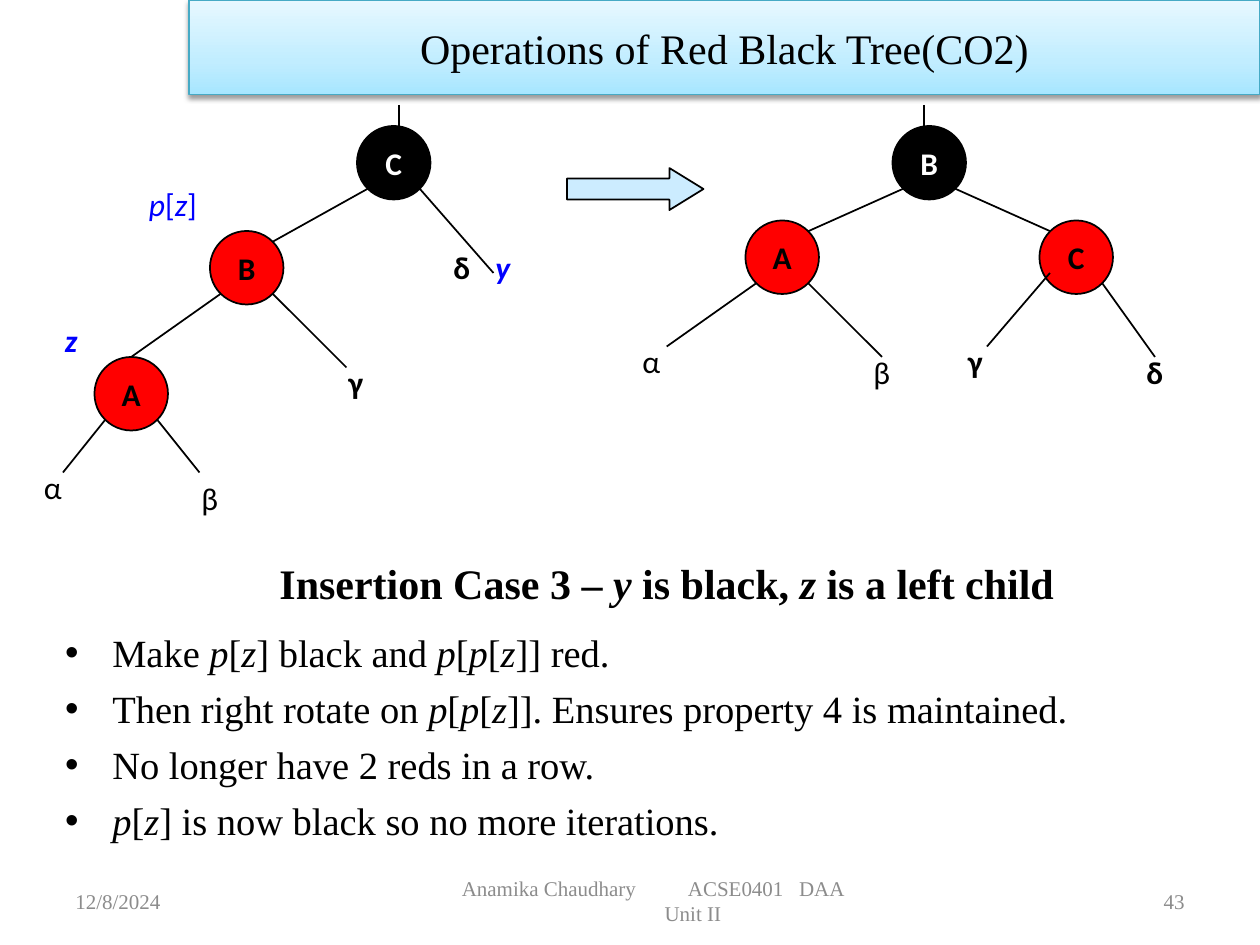
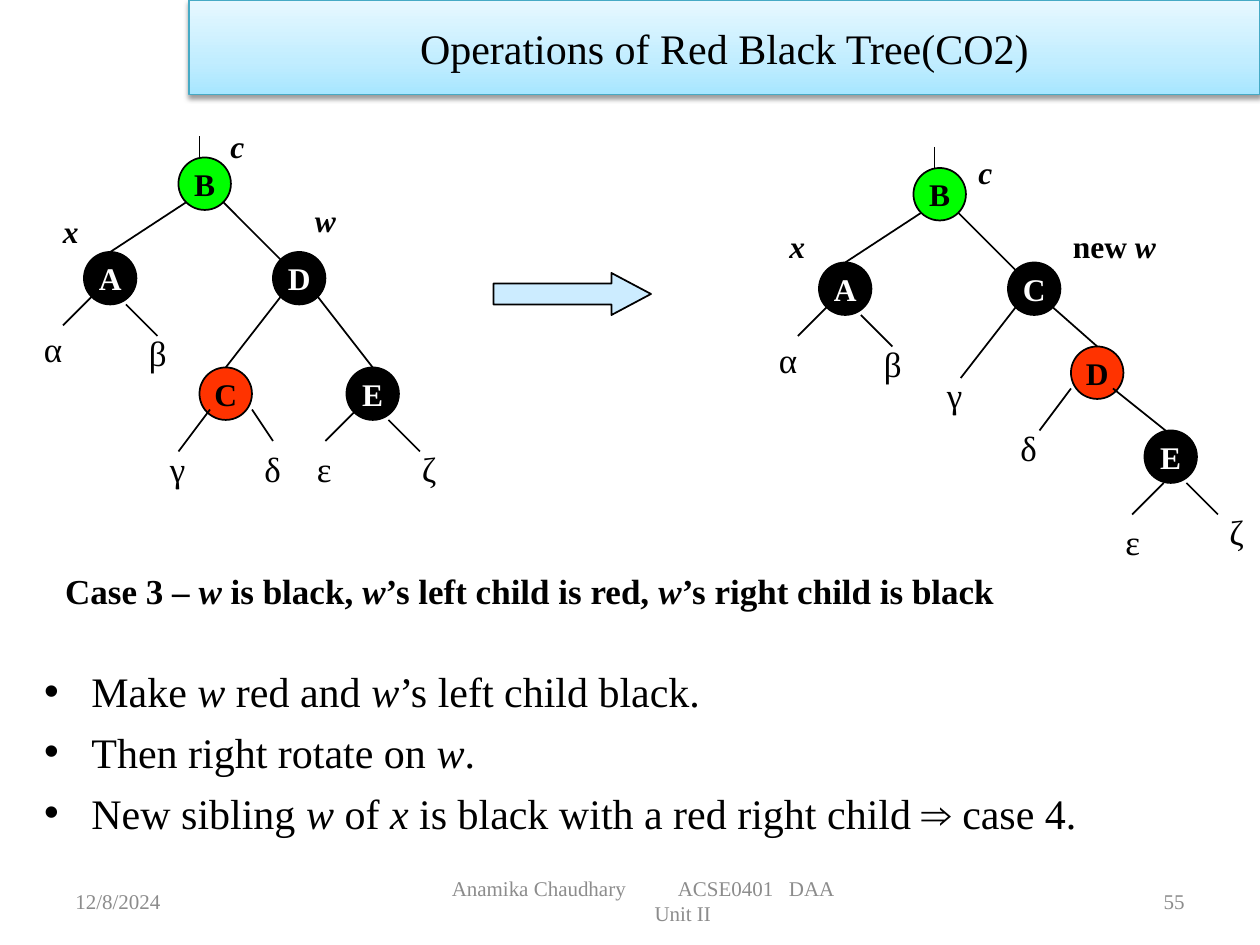
from copy import deepcopy

from lxml import etree
from pptx import Presentation
from pptx.dml.color import RGBColor
from pptx.enum.shapes import MSO_CONNECTOR, MSO_SHAPE
from pptx.enum.text import MSO_ANCHOR, MSO_AUTO_SIZE, PP_ALIGN
from pptx.oxml.ns import qn
from pptx.util import Pt

BLACK = RGBColor(0x00, 0x00, 0x00)
WHITE = RGBColor(0xFF, 0xFF, 0xFF)
RED = RGBColor(0xFF, 0x00, 0x00)
ORANGE_RED = RGBColor(0xFF, 0x33, 0x00)
GREEN = RGBColor(0x00, 0xFF, 0x00)
BLUE = RGBColor(0x00, 0x00, 0xFF)
PALE_BLUE = RGBColor(0xCC, 0xEC, 0xFF)
GREY = RGBColor(0x8C, 0x8C, 0x8C)
BANNER_LINE = RGBColor(0x46, 0xAA, 0xC5)
BANNER_STOPS = [
    (0, RGBColor(0xA7, 0xE6, 0xFF)),
    (0.35, RGBColor(0xC1, 0xED, 0xFF)),
    (1, RGBColor(0xE7, 0xF8, 0xFF)),
]

SERIF = "Times New Roman"
SANS = "Calibri"
LEFT, CENTER, RIGHT, JUSTIFY = PP_ALIGN.LEFT, PP_ALIGN.CENTER, PP_ALIGN.RIGHT, PP_ALIGN.JUSTIFY
TOP, MIDDLE = MSO_ANCHOR.TOP, MSO_ANCHOR.MIDDLE
NO_AUTOFIT = MSO_AUTO_SIZE.NONE
STRAIGHT = MSO_CONNECTOR.STRAIGHT
OVAL, ARROW, RECTANGLE = MSO_SHAPE.OVAL, MSO_SHAPE.RIGHT_ARROW, MSO_SHAPE.RECTANGLE

# Points on a node's circle, as fractions of its box
NEAR, FAR = 0.146, 0.854
PORTS = {
    "top": (0.5, 0),
    "upper-left": (NEAR, NEAR),
    "upper-right": (FAR, NEAR),
    "lower-left": (NEAR, FAR),
    "lower-right": (FAR, FAR),
}
FOOTER_WIDTH = 264
FOOTER_TABS = (129.2, 192.7)


def box(left, top, width, height):
    return Pt(left), Pt(top), Pt(width), Pt(height)


class TreeDeck:
    def __init__(self):
        self.presentation = Presentation()
        self.presentation.slide_width = Pt(720)
        self.presentation.slide_height = Pt(540)

    def start_slide(self, diagram_font, node_size):
        layout = self.presentation.slide_layouts[1]
        self.slide = self.presentation.slides.add_slide(layout)
        self.shapes = self.slide.shapes
        self.diagram_font = diagram_font
        self.node_size = node_size

    def add_runs(self, paragraph, text, **changes):
        """Add text as runs; parts between asterisks are italic."""
        formats = {"name": SERIF, "size": 18, "color": BLACK, "bold": False, **changes}
        formats["size"] = Pt(formats["size"])
        color = formats.pop("color")
        for index, part in enumerate(text.split("*")):
            if part:
                run = paragraph.add_run()
                run.text = part
                for name, value in {**formats, "italic": index % 2 == 1}.items():
                    setattr(run.font, name, value)
                run.font.color.rgb = color

    def frame(self, shape, anchor=TOP, **changes):
        text_frame = shape.text_frame
        settings = {"word_wrap": True, "auto_size": NO_AUTOFIT, "vertical_anchor": anchor}
        for name, value in {**settings, **changes}.items():
            setattr(text_frame, name, value)
        return text_frame

    def place(self, shape, bounds):
        shape.left, shape.top, shape.width, shape.height = box(*bounds)

    def title(self, text, bounds, size, alignment, indent=0):
        shape = self.shapes.title
        self.place(shape, bounds)
        paragraph = self.frame(shape, MIDDLE, margin_left=Pt(7.2 + indent)).paragraphs[0]
        paragraph.alignment = alignment
        self.add_runs(paragraph, text, size=size, bold=True)

    def bullets(self, items, bounds, size):
        shape = self.slide.placeholders[1]
        self.place(shape, bounds)
        text_frame = self.frame(shape)
        for index, item in enumerate(items):
            paragraph = text_frame.add_paragraph() if index else text_frame.paragraphs[0]
            paragraph.alignment = JUSTIFY
            paragraph.space_before = Pt(size / 4 if index else 0)
            self.add_runs(paragraph, item, size=size)

    def text(self, text, bounds, anchor=TOP, alignment=LEFT, **formats):
        shape = self.shapes.add_textbox(*box(*bounds))
        paragraph = self.frame(shape, anchor).paragraphs[0]
        paragraph.alignment = alignment
        self.add_runs(paragraph, text, **formats)

    def labels(self, entries, height=36, **formats):
        for text, left, top, width in entries:
            self.text(text, (left, top, width, height), name=self.diagram_font, **formats)

    def shape(self, kind, bounds, fill):
        shape = self.shapes.add_shape(kind, *box(*bounds))
        shape.shadow.inherit = False
        shape.fill.solid()
        shape.fill.fore_color.rgb = fill
        shape.line.color.rgb = BLACK
        shape.line.width = Pt(1)
        return shape

    def arrow(self, bounds, head):
        self.shape(ARROW, bounds, PALE_BLUE).adjustments[1] = head

    def node(self, letter, left, top, fill):
        shape = self.shape(OVAL, (left, top, self.node_size, self.node_size), fill)
        margins = dict.fromkeys(("margin_left", "margin_right", "margin_top", "margin_bottom"), 0)
        paragraph = self.frame(shape, MIDDLE, **{**margins, "word_wrap": False}).paragraphs[0]
        paragraph.alignment = CENTER
        color = WHITE if fill == BLACK else BLACK
        self.add_runs(paragraph, letter, name=self.diagram_font, color=color, bold=True)
        return shape

    def tree(self, nodes, edges):
        """Draw nodes, then edges whose ends are points or 'letter port'."""
        circles = {letter: self.node(letter, *place) for letter, place in nodes.items()}

        def point(end):
            if not isinstance(end, str):
                return Pt(end[0]), Pt(end[1])
            letter, port = end.split()
            circle = circles[letter]
            across, down = PORTS[port]
            return (circle.left + round(across * circle.width),
                    circle.top + round(down * circle.height))

        for start, end in edges:
            line = self.shapes.add_connector(STRAIGHT, *point(start), *point(end))
            line.line.color.rgb = BLACK
            line.line.width = Pt(1)
            etree.SubElement(line._element.spPr, qn("a:effectLst"))
            if isinstance(end, str) and end.endswith(" top"):
                line.end_connect(circles[end.split()[0]], 0)

    def footer(self, number, width):
        small = {"size": 12, "color": GREY}
        self.text("12/8/2024", (36, 500.4, 168, 28.8), MIDDLE, **small)
        self.text(number, (516, 500.4, 168, 28.8), MIDDLE, RIGHT, **small)
        shape = self.shapes.add_textbox(*box(246.2, 500.4, width, 28.8))
        margin = Pt((width - FOOTER_WIDTH) / 2)
        text_frame = self.frame(shape, MIDDLE, margin_left=margin, margin_right=margin)
        course = text_frame.paragraphs[0]
        tabs = etree.SubElement(course._p.get_or_add_pPr(), qn("a:tabLst"))
        for position in FOOTER_TABS:
            etree.SubElement(tabs, qn("a:tab"), pos=str(Pt(position)), algn="l")
        self.add_runs(course, "Anamika Chaudhary\tACSE0401\tDAA", **small)
        unit = text_frame.add_paragraph()
        unit.alignment = CENTER
        self.add_runs(unit, "Unit II", **small)

    def banner(self):
        shape = self.shapes.add_shape(RECTANGLE, *box(108, 0, 612, 54))
        shape.fill.gradient()
        stop_list = next(shape._element.spPr.iter(qn("a:gsLst")))
        stop_list.append(deepcopy(stop_list[-1]))
        for stop, (position, color) in zip(shape.fill.gradient_stops, BANNER_STOPS):
            stop.position = position
            stop.color.rgb = color
        shape.fill.gradient_angle = 90
        shape.line.color.rgb = BANNER_LINE
        shape.line.width = Pt(0.75)
        shape.shadow.inherit = False
        effects = shape._element.spPr.find(qn("a:effectLst"))
        shadow = etree.SubElement(effects, qn("a:outerShdw"), blurRad=str(Pt(3.1)),
                                  dist=str(Pt(1.6)), dir="5400000", rotWithShape="0")
        color = etree.SubElement(shadow, qn("a:srgbClr"), val="000000")
        etree.SubElement(color, qn("a:alpha"), val="38000")
        paragraph = self.frame(shape, MIDDLE).paragraphs[0]
        paragraph.alignment = CENTER
        self.add_runs(paragraph, "Operations of Red Black Tree(CO2)", size=24)


def insertion_slide(deck):
    deck.start_slide(SANS, 42)
    deck.title("Insertion Case 3 – *y *is black, *z* is a left child", (21, 297, 720, 72), 24, CENTER)
    deck.bullets([
        "Make *p*[*z*] black and *p*[*p*[*z*]] red.",
        "Then right rotate on *p*[*p*[*z*]]. Ensures property 4 is maintained.",
        "No longer have 2 reds in a row.",
        "*p*[*z*] is now black so no more iterations.",
    ], (30, 356, 666, 122), 22)
    deck.arrow((324, 96, 78, 24), 0.81)
    deck.tree(
        {"C": (204, 72, BLACK), "B": (120, 132, RED), "A": (54, 204, RED)},
        [((228, 60), (228, 72)),
         ("C lower-left", "B upper-right"), ("C lower-right", (282, 156)),
         ("B lower-left", "A top"), ("B lower-right", (198, 210)),
         ("A lower-left", (36, 270)), ("A lower-right", (114, 270))])
    deck.tree(
        {"B": (510, 72, BLACK), "A": (426, 126, RED), "C": (594, 126, RED)},
        [((528, 60), (528, 72)),
         ("B lower-left", "A upper-right"), ("B lower-right", "C upper-left"),
         ("A lower-left", (381, 198)), ("A lower-right", (504, 204)),
         ((600, 156), (564, 198)), ("C lower-right", (660, 204))])
    deck.labels([("α", 18, 264, 29.5), ("β", 108, 270, 27.4),
                 ("α", 360, 192, 29.5), ("β", 492, 198, 27.4)])
    deck.labels([("γ", 192, 204, 29.5), ("δ", 252, 138, 26.6),
                 ("γ", 546, 192, 30), ("δ", 648, 198, 26.6)], bold=True)
    deck.labels([("*y*", 276, 138, 25.2), ("*z*", 30, 180, 23.8)], color=BLUE, bold=True)
    deck.labels([("*p*[*z*]", 78, 102, 51.8)], color=BLUE)
    deck.footer("43", 299.5)
    deck.banner()


def deletion_slide(deck):
    deck.start_slide(SERIF, 30)
    deck.title("Case 3 – *w* is black, *w*’s left child is red, *w*’s right child is black",
               (0, 312, 720, 51), 20, LEFT, indent=30)
    deck.bullets([
        "Make *w *red and *w*’s left child black.",
        "Then right rotate on *w*.",
        "New sibling *w *of *x *is black with a red right child ⇒ case 4.",
    ], (18, 376.6, 666, 122), 24)
    deck.arrow((282, 156, 90, 24), 0.94)
    deck.tree(
        {"B": (102, 90, GREEN), "A": (48, 144, BLACK), "D": (156, 144, BLACK),
         "C": (114, 210, ORANGE_RED), "E": (198, 210, BLACK)},
        [((114, 78), (114, 90)),
         ("B lower-left", "A top"), ("B lower-right", "D upper-left"),
         ("D lower-left", "C top"), ("D lower-right", "E top"),
         ((54, 168), (36, 186)), ((72, 174), (90, 192)),
         ((120, 234), (102, 258)), ((144, 234), (156, 252)),
         ((204, 234), (186, 252)), ((222, 240), (240, 258))])
    deck.tree(
        {"B": (522, 96, GREEN), "A": (468, 150, BLACK), "C": (576, 150, BLACK),
         "D": (612, 198, ORANGE_RED), "E": (654, 246, BLACK)},
        [((534, 84), (534, 96)),
         ("B lower-left", "A top"), ("B lower-right", "C upper-left"),
         ("C lower-left", (549, 216)), ("C lower-right", "D top"),
         ((474, 174), (456, 192)), ((492, 180), (510, 198)),
         ((612, 222), (594, 246)), ((636, 222), (666, 246)),
         ((665, 276), (647, 294)), ((678, 276), (696, 294))])
    deck.labels([
        ("α", 18, 183.6, 27.4), ("β", 78, 186, 25.2), ("γ", 90, 252, 23),
        ("δ", 144, 252, 24.5), ("ε", 174, 252, 23), ("ζ", 234, 252, 24.5),
        ("α", 438, 190, 27.4), ("β", 498, 192, 25.2), ("γ", 534, 210, 23),
        ("δ", 576, 240, 24.5), ("ε", 636, 294, 23), ("ζ", 695.5, 288, 24.5),
    ], height=31, size=20)
    deck.labels([
        ("*c*", 124.6, 69, 25.2), ("*x*", 28.8, 117.4, 26.6), ("*w*", 172.8, 111.6, 30.2),
        ("*c*", 552, 84, 25.2), ("*x*", 444, 126, 26.6), ("new* w*", 606, 126, 78),
    ], bold=True)
    deck.footer("55", 288)
    deck.banner()


def main():
    deck = TreeDeck()
    insertion_slide(deck)
    deletion_slide(deck)
    deck.presentation.save("out.pptx")


if __name__ == "__main__":
    main()
